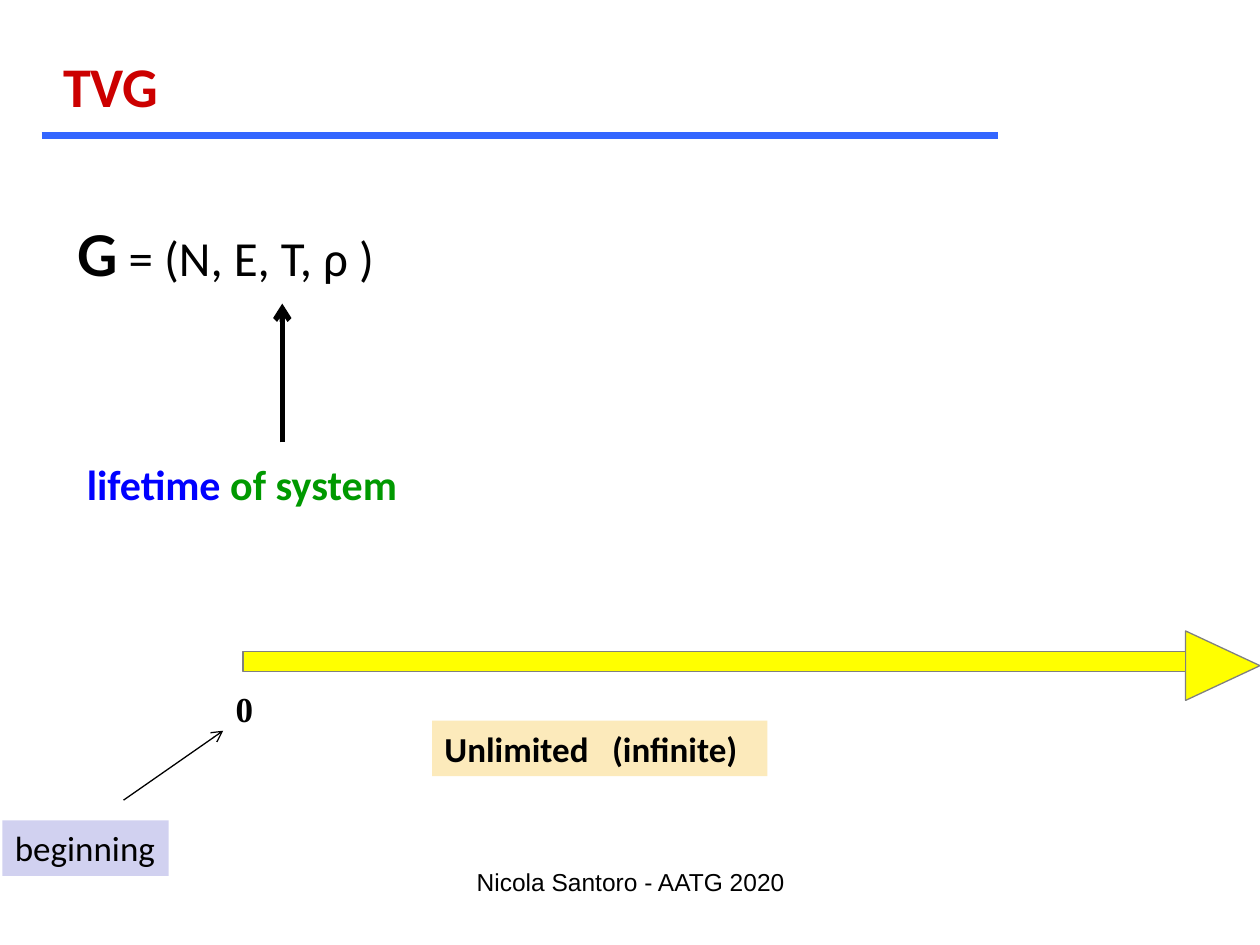
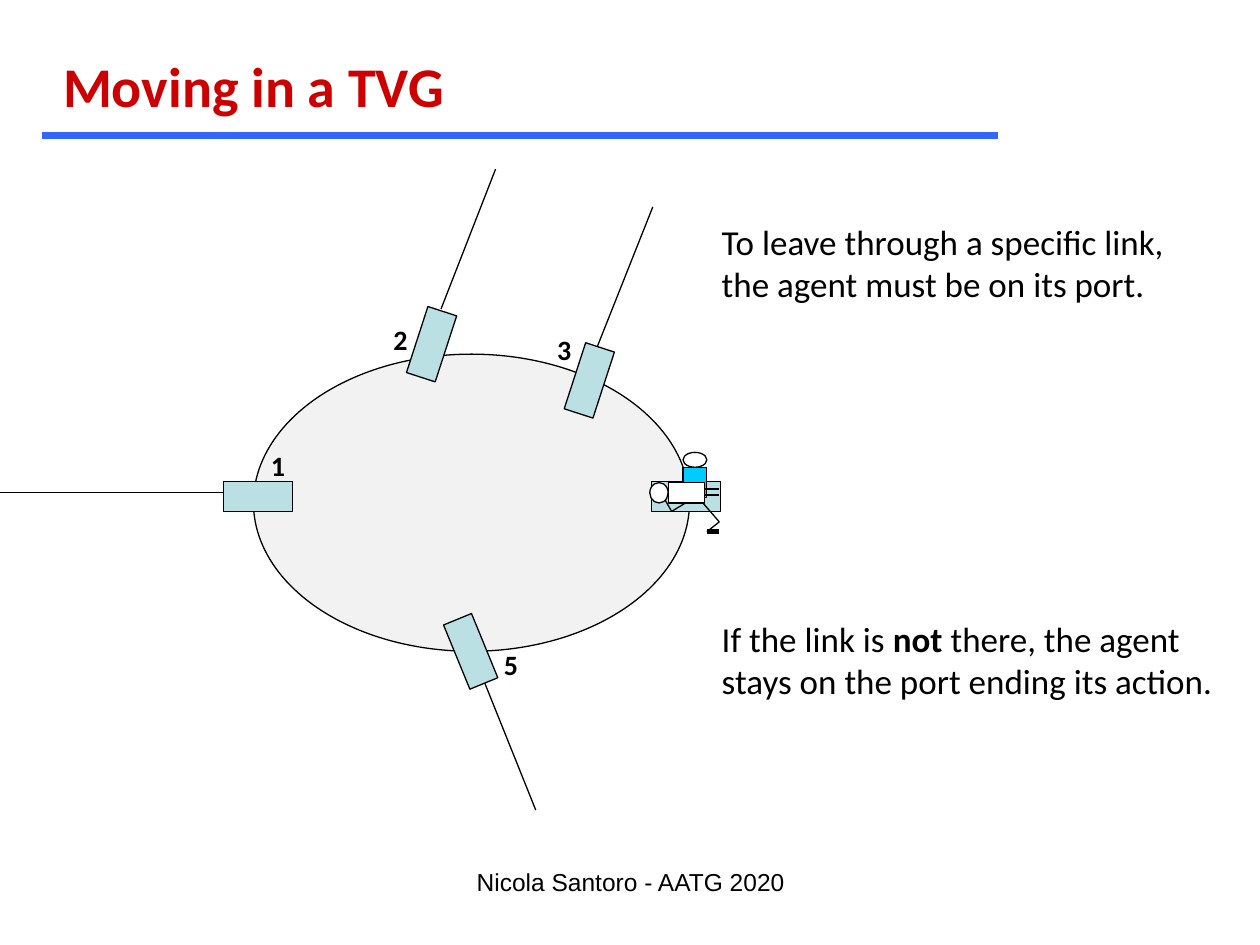
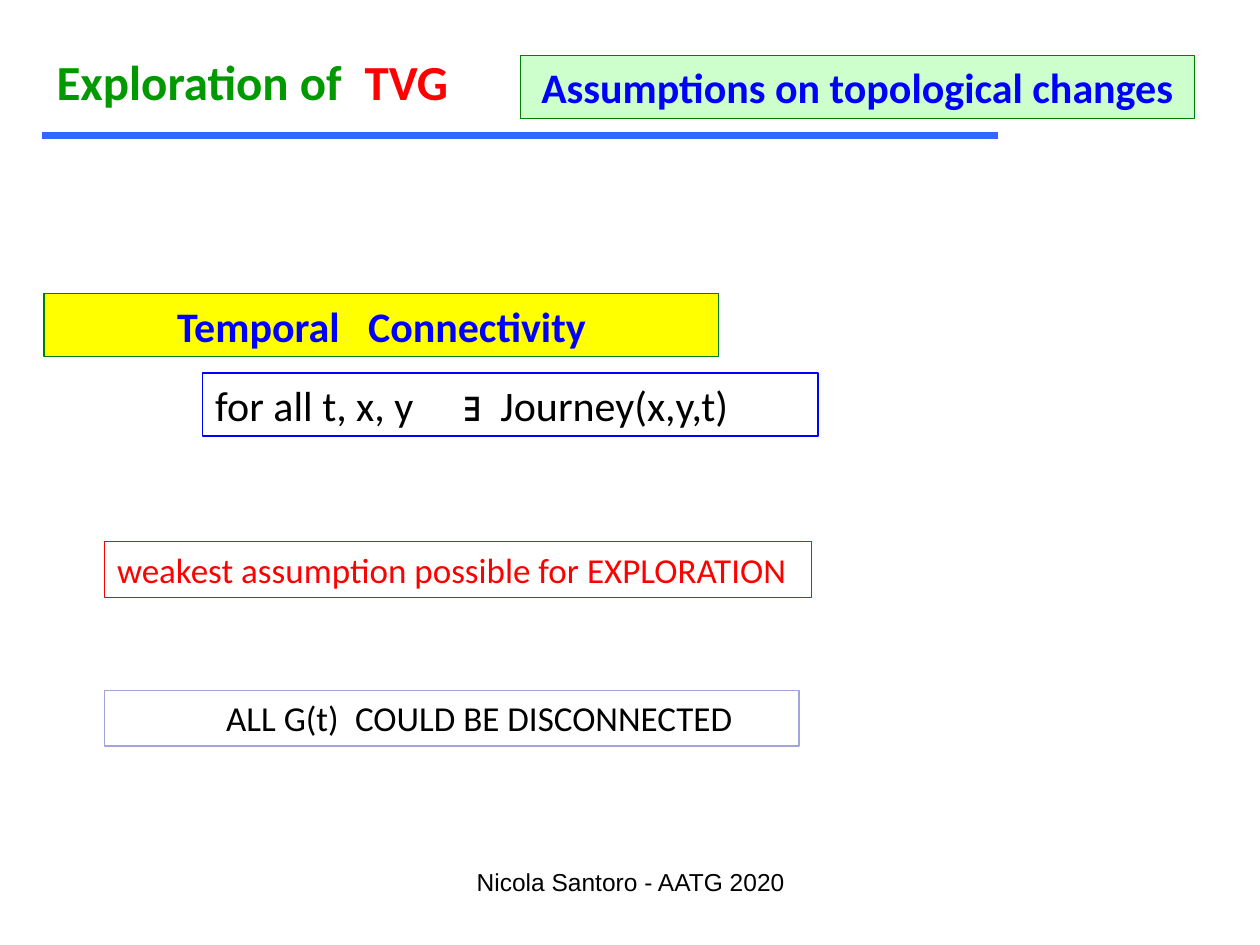
from lxml import etree
from pptx import Presentation
from pptx.dml.color import RGBColor
from pptx.enum.shapes import MSO_CONNECTOR, MSO_SHAPE
from pptx.enum.text import MSO_ANCHOR, MSO_AUTO_SIZE, PP_ALIGN
from pptx.oxml.ns import qn
from pptx.util import Cm, Pt

RECT, OVAL, TRIANGLE = MSO_SHAPE.RECTANGLE, MSO_SHAPE.OVAL, MSO_SHAPE.ISOSCELES_TRIANGLE
STRAIGHT = MSO_CONNECTOR.STRAIGHT
LEFT, CENTER = PP_ALIGN.LEFT, PP_ALIGN.CENTER
TOP, NO_FIT = MSO_ANCHOR.TOP, MSO_AUTO_SIZE.NONE
TITLE_ONLY = 5

BLACK, WHITE, GREY = "000000", "FFFFFF", "808080"
BLUE, GREEN, RED, YELLOW = "0000FF", "009900", "FF0000", "FFFF00"
TITLE_RED, RULE_BLUE, BORDER_GREEN = "CC0000", "3366FF", "008000"
CREAM, LAVENDER, LILAC, MINT = "FCEABB", "D1D1F0", "A3A3E0", "CCFFCC"
NODE_GREY, PORT_BLUE, BODY_BLUE = "F2F2F2", "BBE0E3", "00CCFF"

TITLE_BOX = (1.02, 0.91, 18, 1.63)
FOOTER_BOX = (8.69, 17.35, 8.05, 1.27)
FOOTER = "Nicola Santoro - AATG 2020"


# Basic helpers; every length is in centimetres
def rgb(color):
    return RGBColor.from_string(color)


def style(font, size=None, color=None, bold=None, name=None):
    if size:
        font.size = Pt(size)
    if color:
        font.color.rgb = rgb(color)
    if bold is not None:
        font.bold = bold
    if name:
        font.name = name


def place(sp, box):
    sp.left, sp.top, sp.width, sp.height = (Cm(v) for v in box)


def write(sp, paragraphs, size, color=BLACK, bold=False, name="Calibri",
          align=LEFT, tabs=(), indent=0):
    """Each paragraph is a string or a list of (text, font overrides)."""
    tf = sp.text_frame
    tf.word_wrap, tf.auto_size, tf.vertical_anchor = True, NO_FIT, TOP
    tf.margin_left = Cm(0.25 + indent)
    tf.margin_right = Cm(0.25 if align == CENTER else 0)
    tf.margin_top = tf.margin_bottom = Cm(0.13)
    for i, runs in enumerate(paragraphs):
        p = tf.add_paragraph() if i else tf.paragraphs[0]
        p.alignment = align
        if tabs:
            stops = etree.SubElement(p._p.get_or_add_pPr(), qn("a:tabLst"))
            for pos in tabs:
                etree.SubElement(stops, qn("a:tab"), pos=str(Cm(pos)), algn="l")
        style(p.font, size, color, bold, name)
        for text, changes in [(runs, {})] if isinstance(runs, str) else runs:
            r = p.add_run()
            r.text = text
            style(r.font, **changes)


def add_text(shapes, box, paragraphs, size, **look):
    sp = shapes.add_textbox(*(Cm(v) for v in box))
    write(sp, paragraphs, size, **look)


def add_shape(shapes, kind, box, fill=None, line=None, rotation=0):
    sp = shapes.add_shape(kind, *(Cm(v) for v in box))
    sp.shadow.inherit = False
    sp.rotation = rotation
    if fill:
        sp.fill.solid()
        sp.fill.fore_color.rgb = rgb(fill)
    else:
        sp.fill.background()
    if line:
        sp.line.color.rgb = rgb(line)
        sp.line.width = Pt(0.75)
    else:
        sp.line.fill.background()
    return sp


def add_line(shapes, start, end, color=BLACK, width=0.75, arrow=False):
    s = shapes.add_connector(STRAIGHT, *(Cm(v) for v in (*start, *end)))
    s.line.color.rgb = rgb(color)
    s.line.width = Pt(width)
    if arrow:
        etree.SubElement(s.line._get_or_add_ln(), qn("a:tailEnd"), type="arrow")
    etree.SubElement(s._element.spPr, qn("a:effectLst"))


# Title, rule and footer of every slide
def new_slide(prs, title, box=TITLE_BOX, size=32, color=TITLE_RED, tabs=()):
    slide = prs.slides.add_slide(prs.slide_layouts[TITLE_ONLY])
    place(slide.shapes.title, box)
    write(slide.shapes.title, [title], size, color=color, bold=True, tabs=tabs)
    add_line(slide.shapes, (0.84, 2.74), (20.12, 2.74), RULE_BLUE, 4)
    add_text(slide.shapes, FOOTER_BOX, [FOOTER], 14, name="Arial", align=CENTER)
    return slide


# Slide 1: the lifetime of the system
def add_timeline(shapes, box):
    x, y, w, h = box
    head, bar = 1.5, 0.41
    add_shape(shapes, TRIANGLE, (x + w - (head + h) / 2, y + (h - head) / 2, h, head),
              YELLOW, GREY, 90)
    add_shape(shapes, RECT, (x, y + bar, w - head, bar), YELLOW, GREY)
    add_text(shapes, (x - 0.4, y + 1, 0.86, 1.12), ["0"], 20, bold=True,
             name="Times New Roman")
    sp = add_shape(shapes, RECT, (x + 3.81, y + 1.81, 6.76, 1.12), CREAM)
    write(sp, ["Unlimited\t(infinite)"], 20, bold=True, tabs=[3.38])
    sp = add_shape(shapes, RECT, (x - 4.85, y + 3.82, 3.35, 1.12), LAVENDER)
    write(sp, ["beginning"], 20)
    add_line(shapes, (x - 2.41, y + 3.41), (x - 0.4, y + 2.01), arrow=True)


def lifetime_slide(prs):
    shapes = new_slide(prs, "TVG").shapes
    add_text(shapes, (1.3, 4.32, 21.74, 1.63),
             [[("G", {"size": 32, "bold": True, "name": "Lato"}),
               (" = (N, E, T, ρ )", {})]], 28)
    add_line(shapes, (5.69, 8.92), (5.69, 6.12), width=3, arrow=True)
    add_text(shapes, (1.5, 9.12, 16.8, 1.27),
             [[("lifetime", {"color": BLUE}), (" of system", {})]], 24,
             color=GREEN, bold=True)
    add_timeline(shapes, (4.9, 12.72, 20.5, 1.4))


# Slide 2: a node with ports and the agents on one of them
# Port centre, rotation, label, label corner, link start and end, from the node's corner
PORTS = [
    ((0.09, 2.87), 0, "1", (0.1, 1.78), (0.79, 2.79), (-5.11, 2.79)),
    ((3.59, -0.2), 288, "2", (2.57, -0.76), (3.78, -0.91), (4.88, -3.73)),
    ((6.77, 0.53), 288, "3", (5.87, -0.56), (6.93, -0.15), (8.05, -2.97)),
    ((4.38, 5.99), 247.7, "5", (4.8, 5.79), (4.65, 6.6), (5.69, 9.19)),
]
AGENT_PORT = (8.72, 2.87)


def add_node(shapes, box):
    x, y = box[:2]
    port_w, port_h = 1.4, 0.61

    def add_port(center, rotation=0):
        corner = x + center[0] - port_w / 2, y + center[1] - port_h / 2
        add_shape(shapes, RECT, (*corner, port_w, port_h), PORT_BLUE, BLACK, rotation)

    add_shape(shapes, OVAL, box, NODE_GREY, BLACK)
    for center, rotation, label, (lx, ly), (x1, y1), (x2, y2) in PORTS:
        add_line(shapes, (x + x1, y + y1), (x + x2, y + y2))
        add_port(center, rotation)
        add_text(shapes, (x + lx, y + ly, 0.81, 0.94), [label], 16, bold=True)
    add_port(AGENT_PORT)


def add_agent(shapes, x, y, head, body, color, limbs):
    """Limbs are chains of joints; the pair says whether the last link is a foot."""
    agent = shapes.add_group_shape().shapes
    for kind, (dx, dy, w, h), fill in ((OVAL, head, WHITE), (RECT, body, color)):
        add_shape(agent, kind, (x + dx, y + dy, w, h), fill, BLACK)
    for joints, has_foot in limbs:
        points = [(x + dx, y + dy) for dx, dy in joints]
        for i, (start, end) in enumerate(zip(points, points[1:])):
            foot = has_foot and i == len(points) - 2
            add_line(agent, start, end, width=2.75 if foot else 0.75)


def moving_slide(prs):
    shapes = new_slide(prs, "Moving in a TVG").shapes
    add_node(shapes, (5.11, 7.14, 8.79, 5.99))
    legs = [([(0.64, 0.94), (0.23, 1.19), (0, 0.79), (0, 0.99)], True),
            ([(0.79, 0.94), (1.19, 1.4), (0.94, 1.6), (1.19, 1.6)], True)]
    add_agent(shapes, 13.31, 9.12, (0.46, 0, 0.48, 0.3), (0.46, 0.3, 0.48, 0.61),
              BODY_BLUE, legs)
    arms = [([(1.09, dy), (1.4, dy)], False) for dy in (0.13, 0.25)]
    add_agent(shapes, 13.1, 9.73, (0, 0, 0.37, 0.41), (0.37, 0, 0.73, 0.41),
              WHITE, arms)
    add_text(shapes, (14.3, 4.32, 11.1, 1.96),
             ["To leave through a specific link,", "the agent must be on its port."], 20)
    add_text(shapes, (14.3, 12.32, 11.1, 1.96),
             [[("If the link is ", {}), ("not", {"bold": True}),
               (" there, the agent", {})],
              "stays on the port ending its action."], 20)


# Slide 3: framed statements on connectivity
def assumptions_slide(prs):
    title = [("Exploration of\t", {}), ("TVG", {"color": RED})]
    shapes = new_slide(prs, title, (0.89, 0.91, 9, 1.45), 28, GREEN, [6.21]).shapes
    heading = {"size": 24, "color": BLUE, "bold": True}
    journey = [("for all t, x, y\t", {}), ("∃", {"name": "Arial"}),
               ("\tJourney(x,y,t)", {})]
    frames = [
        ((10.49, 1.12, 13.59, 1.27), MINT, BORDER_GREEN,
         "Assumptions on topological changes", {**heading, "align": CENTER}),
        ((0.89, 5.92, 13.59, 1.27), YELLOW, BORDER_GREEN,
         "Temporal\tConnectivity", {**heading, "indent": 2.43, "tabs": [3.85]}),
        ((4.09, 7.52, 12.4, 1.27), None, BLUE,
         journey, {"size": 24, "tabs": [5, 5.75]}),
        ((2.11, 10.92, 14.25, 1.12), None, RED,
         "weakest assumption possible for EXPLORATION", {"size": 20, "color": RED}),
        ((2.11, 13.92, 14, 1.12), None, LILAC,
         "ALL G(t)\tCOULD BE DISCONNECTED", {"size": 20, "indent": 2.2, "tabs": [2.6]}),
    ]
    for box, fill, line, text, look in frames:
        write(add_shape(shapes, RECT, box, fill, line), [text], **look)


def main():
    prs = Presentation()
    prs.slide_width, prs.slide_height = Cm(25.4), Cm(19.05)
    lifetime_slide(prs)
    moving_slide(prs)
    assumptions_slide(prs)
    prs.save("out.pptx")


if __name__ == "__main__":
    main()
